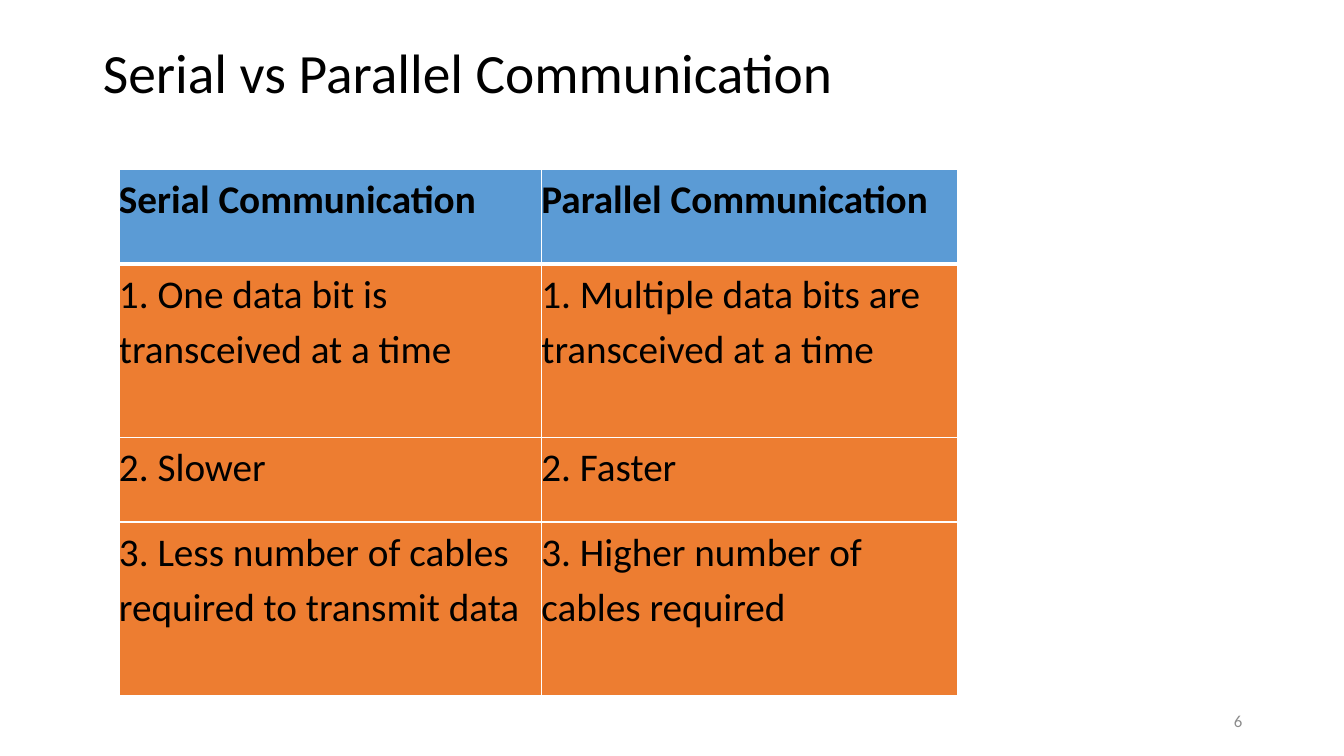
from dataclasses import dataclass

from lxml import etree
from pptx import Presentation
from pptx.dml.color import RGBColor
from pptx.enum import text
from pptx.oxml.ns import qn
from pptx.util import Inches, Pt


@dataclass(frozen=True)
class Theme:
    font: str = "Calibri"
    ink: str = "000000"
    muted: str = "8C8C8C"
    header: str = "5B9BD5"
    body: str = "ED7D31"
    rule: str = "FFFFFF"
    title_size: float = 39.6
    table_size: float = 28
    number_size: float = 12


theme = Theme()


def style(paragraph, size, color, bold=False):
    font = paragraph.font
    font.name, font.size, font.bold = theme.font, Pt(size), bold
    font.color.rgb = RGBColor.from_string(color)


def add_border(cell, side, width):
    line = etree.SubElement(cell._tc.get_or_add_tcPr(), qn(f"a:ln{side}"), w=str(Pt(width)))
    fill = etree.SubElement(line, qn("a:solidFill"))
    etree.SubElement(fill, qn("a:srgbClr"), val=theme.rule)


prs = Presentation()
prs.slide_width, prs.slide_height = Inches(13.33), Inches(7.5)
slide = prs.slides.add_slide(prs.slide_layouts[5])

# Title
title = slide.shapes.title
title.left, title.top = Inches(0.92), Inches(0.4)
title.width, title.height = Inches(10.83), Inches(1.28)
title.text_frame.text = "Serial vs Parallel Communication"
title.text_frame.auto_size = text.MSO_AUTO_SIZE.NONE
title.text_frame.vertical_anchor = text.MSO_ANCHOR.TOP
heading = title.text_frame.paragraphs[0]
heading.alignment = text.PP_ALIGN.LEFT
heading.line_spacing = 0.9
style(heading, theme.title_size, theme.ink)

# Comparison table
comparison = [
    ("Serial Communication", "Parallel Communication"),
    ("1. One data bit is transceived at a time",
     "1. Multiple data bits are transceived at a time"),
    ("2. Slower", "2. Faster"),
    ("3. Less number of cables required to transmit data",
     "3. Higher number of cables required"),
]
column_widths = [4.19, 4.13]
row_heights = [0.94, 1.72, 0.84, 1.72]
table = slide.shapes.add_table(
    len(row_heights), len(column_widths), Inches(1.18), Inches(1.68),
    Inches(sum(column_widths)), Inches(sum(row_heights))).table
for column, width in zip(table.columns, column_widths):
    column.width = Inches(width)

for r, (entries, height) in enumerate(zip(comparison, row_heights)):
    table.rows[r].height = Inches(height)
    is_header = r == 0
    for c, entry in enumerate(entries):
        cell = table.cell(r, c)
        cell.text = entry
        cell.margin_left = cell.margin_right = cell.margin_top = cell.margin_bottom = 0
        statement = cell.text_frame.paragraphs[0]
        statement.line_spacing = 1.15
        statement.space_after = Pt(10 if is_header else 0)
        style(statement, theme.table_size, theme.ink, bold=is_header)
        # A thick rule separates the header from the body
        for side, width in (("L", 1), ("R", 1), ("T", 3 if r == 1 else 1), ("B", 3 if is_header else 1)):
            add_border(cell, side, width)
        cell.fill.solid()
        cell.fill.fore_color.rgb = RGBColor.from_string(theme.header if is_header else theme.body)

# Slide number
number = slide.shapes.add_textbox(Inches(9.42), Inches(6.95), Inches(3), Inches(0.4)).text_frame
number.word_wrap = True
number.vertical_anchor = text.MSO_ANCHOR.MIDDLE
number.text = "6"
number.paragraphs[0].alignment = text.PP_ALIGN.RIGHT
style(number.paragraphs[0], theme.number_size, theme.muted)

prs.save("out.pptx")
